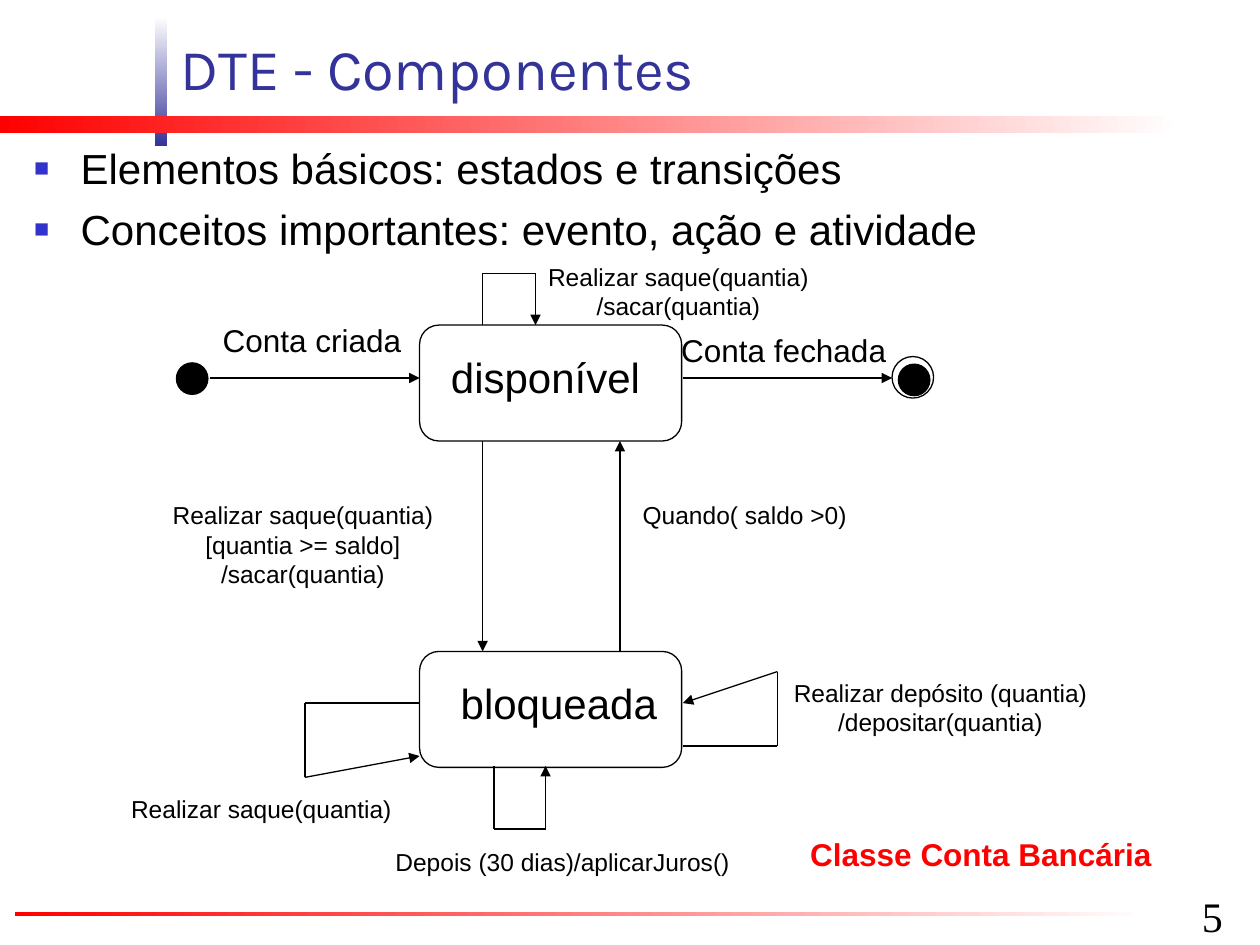
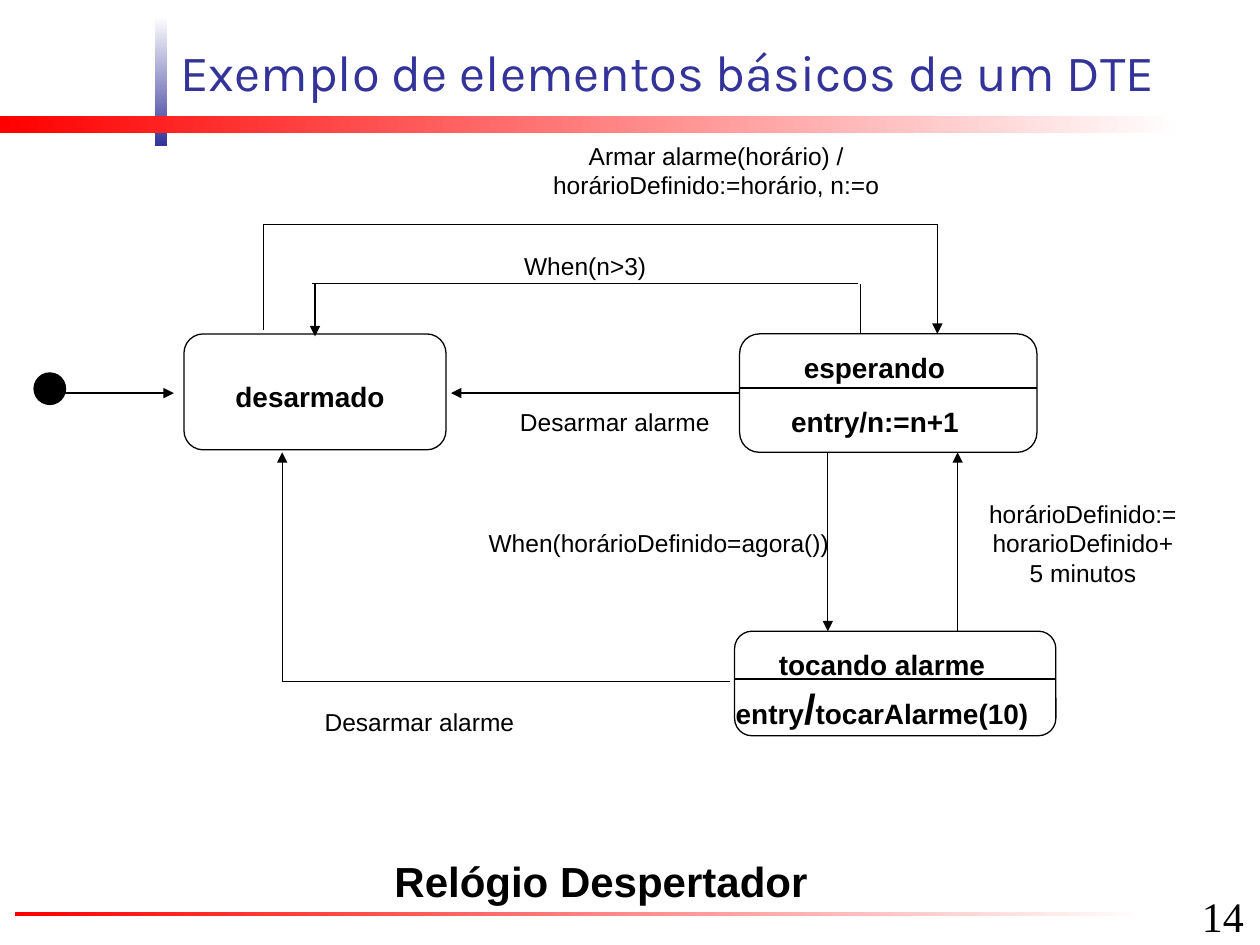
from lxml import etree
from pptx import Presentation
from pptx.dml.color import RGBColor
from pptx.enum.shapes import MSO_CONNECTOR, MSO_SHAPE
from pptx.enum.text import MSO_ANCHOR, MSO_AUTO_SIZE, PP_ALIGN
from pptx.oxml.ns import qn
from pptx.util import Inches, Pt

BLACK = RGBColor(0x00, 0x00, 0x00)
WHITE = RGBColor(0xFF, 0xFF, 0xFF)
RED = RGBColor(0xFF, 0x00, 0x00)
NAVY = RGBColor(0x33, 0x33, 0x99)
BULLET_BLUE = "3333CC"

TITLE_ONLY, TITLE_AND_BODY = 5, 1
TITLE_BOX = (1.33, 0.18, 8.67, 0.68)
BODY_BOX = (0.17, 1.08, 9.72, 6.08)
NUMBER_BOX = (9.44, 7.02, 0.83, 0.5)
LINE_WIDTH = 0.75
DOT_SIZE = 0.25
BULLET_INDENT = 0.37
LABEL_SIDE_MARGIN = 0.04

# box, first colour, last colour, gradient angle
BANDS = [
    ((1.23, 0.13, 0.1, 1.03), WHITE, NAVY, 270),
    ((0, 0.92, 9.38, 0.14), RED, WHITE, 0),
    ((0.12, 7.24, 9, 0.03), RED, WHITE, 0),
]

NOTE = {"name": "Arial", "size": 14, "color": BLACK}
EVENT = NOTE | {"size": 18}
STATE = NOTE | {"size": 24}
BOLD_STATE = NOTE | {"size": 16, "bold": True}
CLASS_NAME = EVENT | {"color": RED, "bold": True}
DIAGRAM_NAME = STATE | {"bold": True}
NUMBER = NOTE | {"name": "Times New Roman", "size": 24}
TITLE = {"name": "Karla", "color": NAVY}

# Labels are (text, left, top, width, format); paths are (points, has arrow).
# Compound states are (box, divider height, labels).
SLIDES = [
    {
        "title": "DTE - Componentes",
        "title_size": 33,
        "number": "5",
        "bullets": [
            "Elementos básicos: estados e transições",
            "Conceitos importantes: evento, ação e atividade",
        ],
        "states": [(3.33, 2.58, 2.08, 0.92), (3.33, 5.17, 2.08, 0.92)],
        "compound_states": [],
        "start": (1.4, 2.88),
        "end": (7.08, 2.83),
        "paths": [
            ([(1.67, 3), (3.33, 3)], True),
            ([(5.42, 3), (7.08, 3)], True),
            ([(3.83, 3.5), (3.83, 5.17)], True),
            ([(4.92, 5.17), (4.92, 3.5)], True),
            ([(3.83, 2.58), (3.83, 2.17), (4.25, 2.17), (4.25, 2.58)], True),
            ([(3.33, 5.58), (2.42, 5.58), (2.42, 6.17), (3.33, 6)], True),
            ([(3.92, 6.08), (3.92, 6.58), (4.33, 6.58), (4.33, 6.08)], True),
            ([(5.42, 5.92), (6.17, 5.92), (6.17, 5.33), (5.42, 5.58)], True),
        ],
        "labels": [
            ("disponível", 3.48, 2.74, 1.7, STATE),
            ("bloqueada", 3.56, 5.33, 1.75, STATE),
            ("Conta criada", 1.67, 2.5, 1.61, EVENT),
            ("Conta fechada", 5.31, 2.58, 1.82, EVENT),
            ("Quando( saldo >0)", 5, 3.92, 1.82, NOTE),
            ("Realizar saque(quantia)\n[quantia >= saldo]\n/sacar(quantia)",
             1.27, 3.92, 2.27, NOTE),
            ("Realizar saque(quantia)", 0.94, 6.25, 2.27, NOTE),
            ("Realizar depósito (quantia)\n/depositar(quantia)",
             6.2, 5.33, 2.53, NOTE),
            ("Depois (30 dias)/aplicarJuros()", 3.04, 6.67, 2.85, NOTE),
            ("Classe Conta Bancária", 6.33, 6.58, 2.91, CLASS_NAME),
            ("Realizar saque(quantia)\n/sacar(quantia)",
             4.25, 2.03, 2.27, NOTE),
        ],
    },
    {
        "title": "Exemplo de elementos básicos de um DTE",
        "title_size": 29,
        "number": "14",
        "bullets": [],
        "states": [(1.46, 2.65, 2.08, 0.92)],
        "compound_states": [
            ((5.87, 2.65, 2.36, 0.94), 3.08, [
                ("esperando", 6.28, 2.73, 1.32, BOLD_STATE),
                ("entry/n:=n+1", 6.18, 3.16, 1.53, BOLD_STATE),
            ]),
            ((5.83, 5.01, 2.55, 0.83), 5.39, [
                ("tocando alarme", 6.08, 5.09, 1.84, BOLD_STATE),
                ([("entry", 16), ("/", 24), ("tocarAlarme(10)", 16)],
                 5.74, 5.37, 2.52, DIAGRAM_NAME),
            ]),
        ],
        "start": (0.27, 2.96),
        "end": None,
        "paths": [
            ([(0.43, 3.12), (1.38, 3.12)], True),
            ([(6.83, 2.65), (6.83, 2.25)], False),
            ([(6.81, 2.25), (2.48, 2.25)], False),
            ([(2.5, 2.25), (2.5, 2.67)], True),
            ([(2.09, 2.62), (2.09, 1.78), (7.44, 1.78), (7.44, 2.65)], True),
            ([(5.87, 3.12), (3.58, 3.12)], True),
            ([(6.57, 3.59), (6.57, 5.01)], True),
            ([(7.6, 5.01), (7.6, 3.59)], True),
            ([(5.79, 5.41), (2.24, 5.41), (2.24, 3.59)], True),
        ],
        "labels": [
            ("desarmado", 1.77, 2.96, 1.38, BOLD_STATE),
            ("Relógio Despertador", 3.03, 6.74, 3.48, DIAGRAM_NAME),
            ("When(n>3)", 4.06, 1.94, 1.17, NOTE),
            ("Desarmar alarme", 4.03, 3.18, 1.7, NOTE),
            ("Armar alarme(horário) /\nhorárioDefinido:=horário, n:=o",
             4.29, 1.07, 2.79, NOTE),
            ("When(horárioDefinido=agora())", 3.78, 4.14, 2.9, NOTE),
            ("horárioDefinido:=\nhorarioDefinido+\n5 minutos",
             7.75, 3.91, 1.69, NOTE),
            ("Desarmar alarme", 2.48, 5.56, 1.7, NOTE),
        ],
    },
]


def to_inches(values):
    return [Inches(value) for value in values]


def format_font(font, values):
    for name, value in values.items():
        if name == "color":
            font.color.rgb = value
        else:
            setattr(font, name, Pt(value) if name == "size" else value)


def place(shape, box):
    for name, value in zip(("left", "top", "width", "height"), to_inches(box)):
        setattr(shape, name, value)


def add_outline(shapes, kind, box, fill=None):
    shape = shapes.add_shape(kind, *to_inches(box))
    shape.shadow.inherit = False
    if fill is None:
        shape.fill.background()
    else:
        shape.fill.solid()
        shape.fill.fore_color.rgb = fill
    shape.line.color.rgb = BLACK
    shape.line.width = Pt(LINE_WIDTH)


def add_state(shapes, box):
    add_outline(shapes, MSO_SHAPE.FLOWCHART_ALTERNATE_PROCESS, box)


def add_dot(shapes, left, top):
    add_outline(shapes, MSO_SHAPE.OVAL, (left, top, DOT_SIZE, DOT_SIZE), BLACK)


def add_path(shapes, points, has_arrow):
    """Join the points with straight lines, the last one with an arrowhead."""
    for start, end in zip(points, points[1:]):
        line = shapes.add_connector(MSO_CONNECTOR.STRAIGHT, *to_inches(start + end))
        line.line.color.rgb = BLACK
        line.line.width = Pt(LINE_WIDTH)
        properties = line.element.spPr
        etree.SubElement(properties, qn("a:effectLst"))
        if has_arrow and end == points[-1]:
            etree.SubElement(properties.find(qn("a:ln")), qn("a:tailEnd"), type="triangle")


def add_label(shapes, text, left, top, width, values):
    """Add centred lines; text is a string or a list of (run, size)."""
    lines = text.split("\n") if isinstance(text, str) else [text]
    height = 0.1 + len(lines) * values["size"] * 1.2 / 72
    frame = shapes.add_textbox(*to_inches((left, top, width, height))).text_frame
    frame.word_wrap = False
    frame.auto_size = MSO_AUTO_SIZE.SHAPE_TO_FIT_TEXT
    frame.margin_left = frame.margin_right = Inches(LABEL_SIDE_MARGIN)
    for index, line in enumerate(lines):
        paragraph = frame.add_paragraph() if index else frame.paragraphs[0]
        paragraph.alignment = PP_ALIGN.CENTER
        runs = [(line, values["size"])] if isinstance(line, str) else line
        for run_text, size in runs:
            run = paragraph.add_run()
            run.text = run_text
            format_font(run.font, values | {"size": size})


def add_compound_state(shapes, box, divider, labels):
    group = shapes.add_group_shape().shapes
    add_state(group, box)
    left, _, width, _ = box
    add_path(group, [(left, divider), (left + width, divider)], False)
    for label in labels:
        add_label(group, *label)


def add_end(shapes, left, top):
    group = shapes.add_group_shape().shapes
    add_outline(group, MSO_SHAPE.OVAL, (left, top, 0.33, 0.33))
    add_dot(group, left + 0.05, top + 0.06)


def add_bands_to_master(presentation, slide):
    """Draw the bands on the slide, then move them to the master."""
    master_tree = presentation.slide_master.shapes.element
    for index, (box, first, last, angle) in enumerate(BANDS):
        band = slide.shapes.add_shape(MSO_SHAPE.RECTANGLE, *to_inches(box))
        band.shadow.inherit = False
        band.line.fill.background()
        band.fill.gradient()
        band.fill.gradient_angle = angle
        for stop, color in zip(band.fill.gradient_stops, (first, last)):
            stop.color.rgb = color
        band.element.nvSpPr.cNvPr.set("id", str(100 + index))
        master_tree.insert(2 + index, band.element)


def set_title(title, text, size):
    place(title, TITLE_BOX)
    frame = title.text_frame
    frame.text = text
    frame.auto_size = MSO_AUTO_SIZE.NONE
    frame.vertical_anchor = MSO_ANCHOR.BOTTOM
    paragraph = frame.paragraphs[0]
    paragraph.alignment = PP_ALIGN.LEFT
    format_font(paragraph.runs[0].font, TITLE | {"size": size})


def set_bullets(body, bullets):
    place(body, BODY_BOX)
    frame = body.text_frame
    frame.text = "\n".join(bullets)
    frame.auto_size = MSO_AUTO_SIZE.NONE
    for paragraph in frame.paragraphs:
        format_font(paragraph.runs[0].font, STATE)
        properties = paragraph._p.get_or_add_pPr()
        properties.set("marL", str(Inches(BULLET_INDENT)))
        properties.set("indent", str(-Inches(BULLET_INDENT)))
        color = etree.SubElement(properties, qn("a:buClr"))
        etree.SubElement(color, qn("a:srgbClr"), val=BULLET_BLUE)
        etree.SubElement(properties, qn("a:buSzPct"), val="60000")
        etree.SubElement(properties, qn("a:buFont"), typeface="Arial")
        etree.SubElement(properties, qn("a:buChar"), char="■")
        paragraph.space_before = Pt(6)


def add_number(shapes, number):
    frame = shapes.add_textbox(*to_inches(NUMBER_BOX)).text_frame
    frame.word_wrap = True
    frame.vertical_anchor = MSO_ANCHOR.BOTTOM
    frame.text = number
    format_font(frame.paragraphs[0].runs[0].font, NUMBER)


def build_slide(presentation, content):
    layout = TITLE_AND_BODY if content["bullets"] else TITLE_ONLY
    slide = presentation.slides.add_slide(presentation.slide_layouts[layout])
    shapes = slide.shapes
    set_title(shapes.title, content["title"], content["title_size"])
    if content["bullets"]:
        set_bullets(slide.placeholders[1], content["bullets"])
    add_number(shapes, content["number"])
    for box in content["states"]:
        add_state(shapes, box)
    for compound_state in content["compound_states"]:
        add_compound_state(shapes, *compound_state)
    add_dot(shapes, *content["start"])
    if content["end"]:
        add_end(shapes, *content["end"])
    for path in content["paths"]:
        add_path(shapes, *path)
    for label in content["labels"]:
        add_label(shapes, *label)
    return slide


def main():
    presentation = Presentation()
    presentation.slide_width, presentation.slide_height = to_inches((10, 7.5))
    slides = [build_slide(presentation, content) for content in SLIDES]
    add_bands_to_master(presentation, slides[0])
    presentation.save("out.pptx")


if __name__ == "__main__":
    main()
